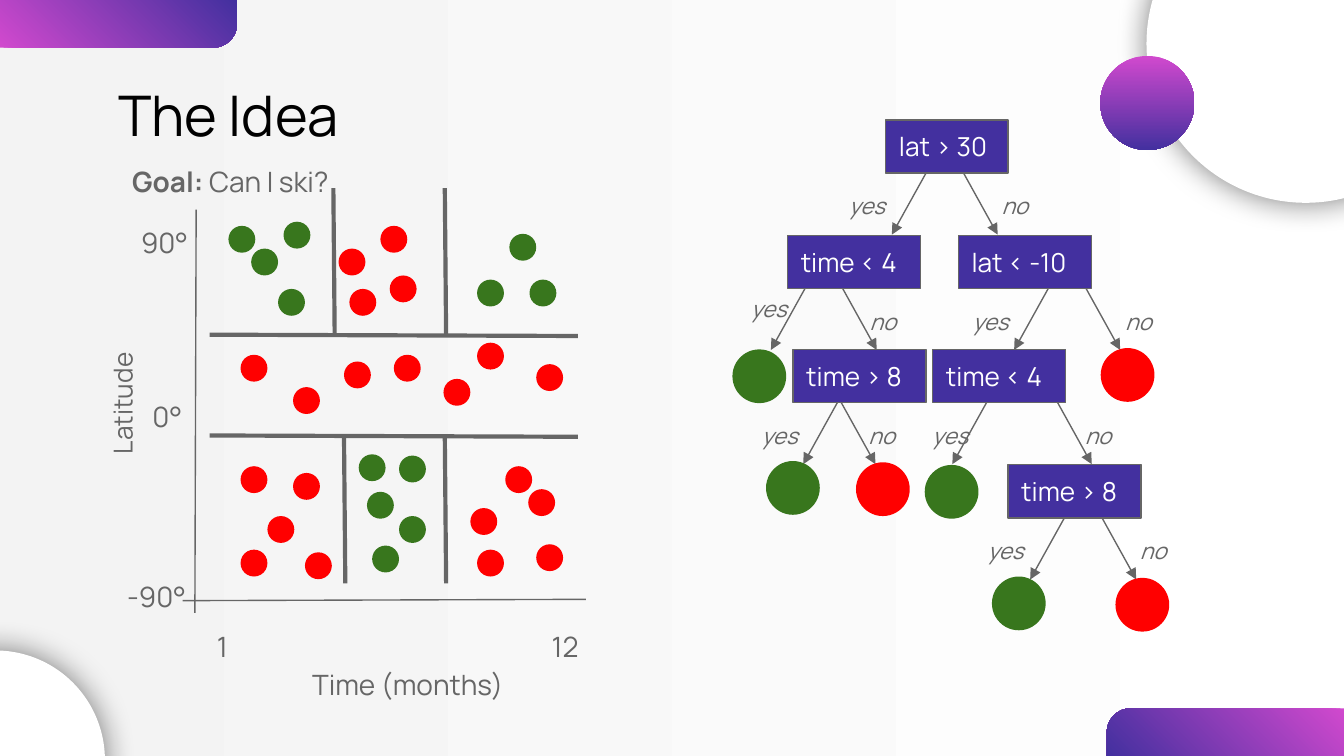
from dataclasses import dataclass
from lxml.etree import SubElement as Sub
from pptx import Presentation
from pptx.dml.color import RGBColor as Rgb
from pptx.enum.shapes import MSO_CONNECTOR as Link, MSO_SHAPE as Kind
from pptx.enum.text import MSO_ANCHOR as Anchor, MSO_AUTO_SIZE as Fit, PP_ALIGN as Align
from pptx.oxml.ns import qn
from pptx.util import Pt


@dataclass(frozen=True)
class Theme:
    font: str = "Manrope"
    black: Rgb = Rgb(0, 0, 0)
    white: Rgb = Rgb(255, 255, 255)
    pale: Rgb = Rgb(0xF3, 0xF3, 0xF3)
    gray: Rgb = Rgb(0x66, 0x66, 0x66)
    pink: Rgb = Rgb(0xD1, 0x49, 0xCE)
    violet: Rgb = Rgb(0x43, 0x30, 0x9F)
    red: Rgb = Rgb(255, 0, 0)
    green: Rgb = Rgb(0x38, 0x76, 0x1D)
    title: int = 30
    axis: int = 15
    node: int = 14
    edge: int = 12
    thin: float = 0.75
    thick: float = 2.25


T = Theme()

DOT, LEAF = 14.4, 28.8
NODE_H = 28.5
RUN, DROP = 18.3, 33

RED_DOTS = [
    (187.2, 154.8), (181.4, 133.2), (203.8, 121), (208.8, 147.6),
    (128.9, 190.1), (157, 207.4), (184.3, 193.7), (211, 190.1),
    (237.6, 203), (255.6, 183.6), (287.3, 195.1),
    (128.9, 294.5), (143.3, 276.5), (128.9, 249.8), (157, 253.4), (163.4, 295.9),
    (270.7, 249.8), (283, 262.1), (255.6, 294.5), (252, 272.2), (287.3, 291.6),
]
GREEN_DOTS = [
    (122.4, 121), (134.6, 133.2), (151.9, 118.8), (149, 154.8),
    (255.6, 149.8), (283.7, 149.8), (272.9, 125.3),
    (192.2, 243.4), (196.6, 263.5), (213.8, 244.1), (213.8, 276.5), (199.4, 292.3),
]
RED_LEAVES = [(589.7, 186.5), (458.6, 247.7), (597.6, 309.6)]
GREEN_LEAVES = [(392.4, 187.2), (410.4, 247), (495.4, 249.1), (531.4, 308.9)]


def blend(fill, first, last, angle):
    fill.gradient()
    fill.gradient_angle = 360 - angle
    for stop, color in zip(fill.gradient_stops, (first, last)):
        stop.color.rgb = color


def shape(slide, kind, x, y, w, h, color=None):
    item = slide.shapes.add_shape(kind, Pt(x), Pt(y), Pt(w), Pt(h))
    item.shadow.inherit = False
    item.line.fill.background()
    if color is not None:
        item.fill.solid()
        item.fill.fore_color.rgb = color
    return item


def disc(slide, x, y, size, color=None):
    return shape(slide, Kind.OVAL, x, y, size, size, color)


def halo(slide, x, y, size):
    item = disc(slide, x, y, size, T.white)
    glow = Sub(item.element.spPr.find(qn("a:effectLst")), qn("a:outerShdw"),
               blurRad=str(Pt(16.9)), dist="0", dir="0", algn="bl", rotWithShape="0")
    tint = Sub(glow, qn("a:srgbClr"), val=str(T.black))
    Sub(tint, qn("a:alpha"), val="50000")


def corner(slide, x, y, turn):
    item = shape(slide, Kind.ROUND_1_RECTANGLE, x, y, 127, 25.5)
    item.adjustments[0] = 0.5
    item.rotation = turn
    item.element.spPr.xfrm.set("flipH", "1")
    blend(item.fill, T.pink, T.violet, 45)


def pad(frame):
    frame.margin_left = frame.margin_right = Pt(7.2)
    frame.margin_top = frame.margin_bottom = Pt(7.2)
    frame.word_wrap = True


def style(run, size, color, bold=False, slant=False):
    run.font.name = T.font
    run.font.size = Pt(size)
    run.font.color.rgb = color
    run.font.bold = bold
    run.font.italic = slant


def label(slide, text, x, y, w, h=32.4, size=T.axis, slant=False):
    box = slide.shapes.add_textbox(Pt(x), Pt(y), Pt(w), Pt(h))
    frame = box.text_frame
    pad(frame)
    frame.auto_size = Fit.SHAPE_TO_FIT_TEXT
    frame.text = text
    para = frame.paragraphs[0]
    para.alignment = Align.CENTER
    para.line_spacing = 1.5
    style(para.runs[0], size, T.gray, slant=slant)
    return box


def line(slide, x1, y1, x2, y2, width=T.thin, arrow=False):
    item = slide.shapes.add_connector(Link.STRAIGHT, Pt(x1), Pt(y1), Pt(x2), Pt(y2))
    item.line.color.rgb = T.gray
    item.line.width = Pt(width)
    props = item.element.spPr
    if arrow:
        Sub(props.find(qn("a:ln")), qn("a:tailEnd"), type="triangle")
    Sub(props, qn("a:effectLst"))


def split(slide, text, x, y, yes, no, yes_at, no_at, w=71.3, lift=4):
    base = y + NODE_H
    line(slide, yes, base, yes - RUN, base + DROP, arrow=True)
    line(slide, no, base, no + RUN, base + DROP, arrow=True)
    box = shape(slide, Kind.RECTANGLE, x, y, w, NODE_H, T.violet)
    box.line.color.rgb = T.gray
    box.line.width = Pt(T.thin)
    frame = box.text_frame
    pad(frame)
    frame.vertical_anchor = Anchor.MIDDLE
    frame.text = text
    frame.paragraphs[0].alignment = Align.LEFT
    style(frame.paragraphs[0].runs[0], T.node, T.white)
    label(slide, "yes", yes_at, base - lift, 36, 28.8, T.edge, True)
    label(slide, "no", no_at, base - 4, 31.7, 28.8, T.edge, True)


def head(slide, text):
    title = slide.shapes.title
    title.left, title.top, title.width, title.height = Pt(56.2), Pt(42.5), Pt(607.7), Pt(37.4)
    frame = title.text_frame
    pad(frame)
    frame.auto_size = Fit.NONE
    frame.vertical_anchor = Anchor.MIDDLE
    frame.text = text
    frame.paragraphs[0].alignment = Align.LEFT
    style(frame.paragraphs[0].runs[0], T.title, T.black)


def decor(slide):
    blend(slide.background.fill, T.white, T.pale, 180)
    corner(slide, 593, 379.5, 0)
    corner(slide, 0, 0, 180)
    halo(slide, -61.2, 348.5, 117.4)
    halo(slide, 614.2, -61.9, 170.6)
    blend(disc(slide, 589.5, 30, 50.4).fill, T.pink, T.violet, 90)


def plot(slide):
    line(slide, 104.4, 328.3, 105.1, 112.3)
    line(slide, 97.9, 321.8, 313.9, 321.1)
    label(slide, "Time (months)", 149, 341.3, 139)
    label(slide, "Latitude", 13, 200.2, 88.6, 31.7, T.node).rotation = 270
    for text, x, y in [("90°", 55.4, 104.4), ("0°", 56.9, 198), ("-90°", 51.1, 294.5),
                       ("1", 86.4, 321.1), ("12", 270, 321.1)]:
        label(slide, text, x, y, 65.5)
    for dots, color in [(RED_DOTS, T.red), (GREEN_DOTS, T.green)]:
        for x, y in dots:
            disc(slide, x, y, DOT, color)
    goal = label(slide, "Goal: ", 54, 72, 139).text_frame.paragraphs[0]
    goal.runs[0].font.bold = True
    ask = goal.add_run()
    ask.text = "Can I ski?"
    style(ask, T.axis, T.gray)
    for y in (179.3, 233.3):
        line(slide, 112.3, y, 309.6, y + 0.7, T.thick)
    for x, y in [(178.6, 100.8), (238.3, 100.8), (184.3, 233.3), (238.3, 233.3)]:
        line(slide, x, y, x + 0.7, y + 79.2, T.thick)


def tree(slide):
    split(slide, "lat > 30", 474.5, 64.2, 496.1, 516.2, 446.4, 527.8, w=65.5)
    split(slide, "time < 4", 421.9, 126, 431.3, 451.4, 393.8, 457.2, lift=10.5)
    split(slide, "lat < -10", 513.4, 126, 561.6, 581.8, 512.6, 594)
    split(slide, "time > 8", 424.8, 187.2, 448.6, 450.7, 399.6, 456.5)
    split(slide, "time < 4", 499.7, 187.2, 528.5, 566.6, 491, 572.4)
    split(slide, "time > 8", 540, 249, 570.2, 590.4, 520.6, 601.9)
    for leaves, color in [(RED_LEAVES, T.red), (GREEN_LEAVES, T.green)]:
        for x, y in leaves:
            disc(slide, x, y, LEAF, color)


def main():
    deck = Presentation()
    deck.slide_width, deck.slide_height = Pt(720), Pt(405)
    slide = deck.slides.add_slide(deck.slide_layouts[5])
    decor(slide)
    head(slide, "The Idea")
    plot(slide)
    tree(slide)
    deck.save("out.pptx")


if __name__ == "__main__":
    main()
